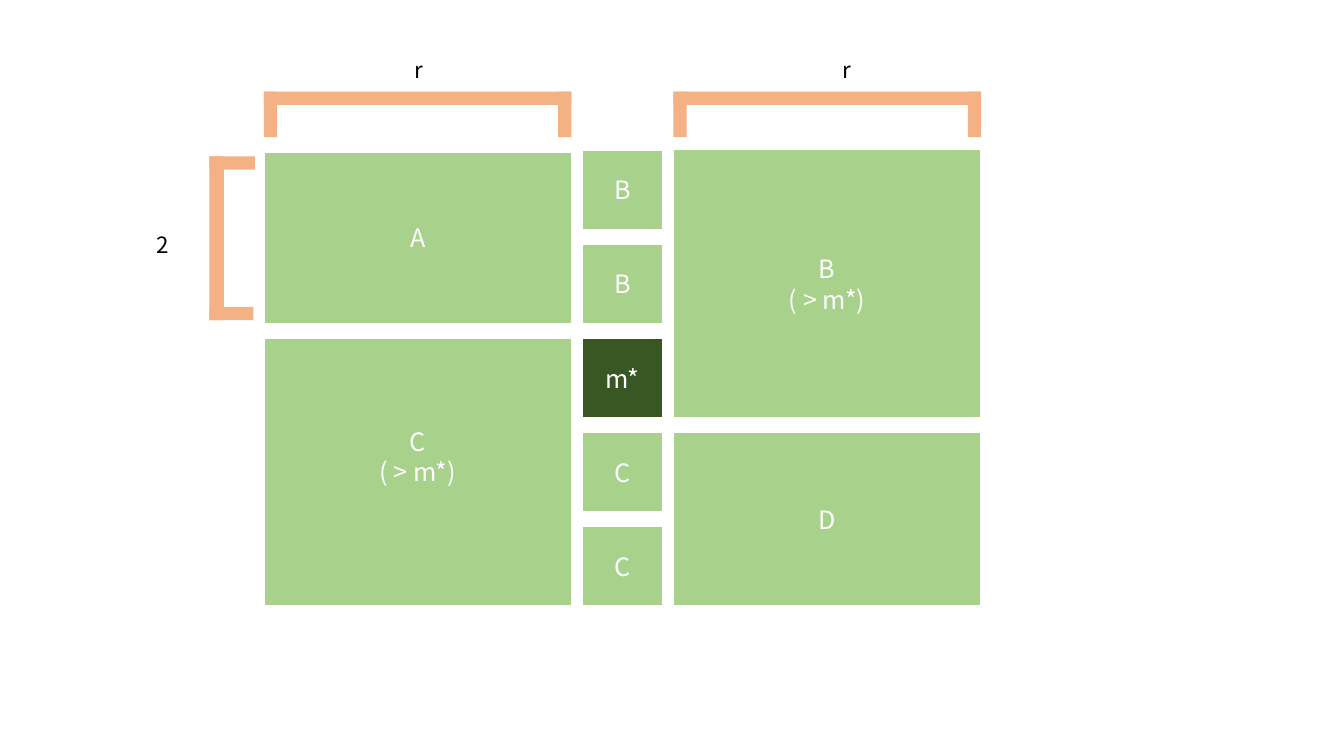
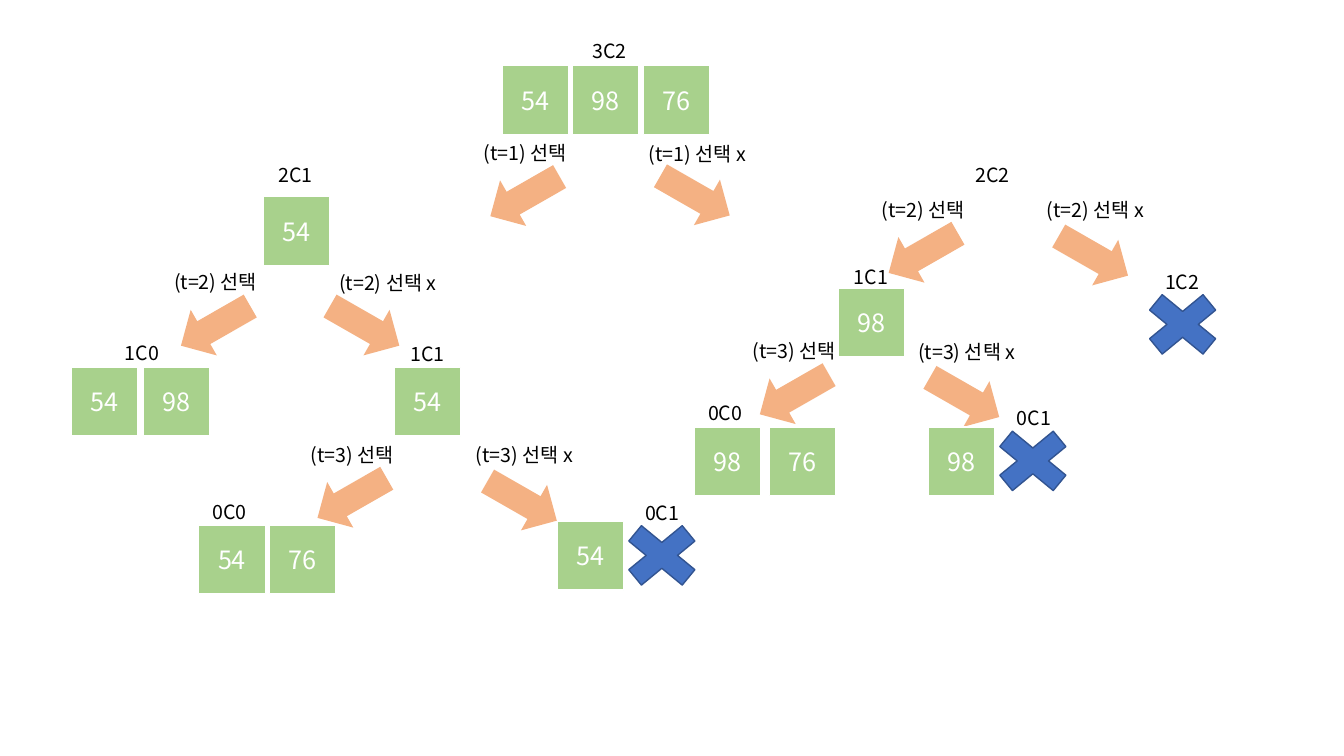
from lxml.etree import SubElement
from pptx import Presentation
from pptx.dml.color import RGBColor
from pptx.enum.shapes import MSO_SHAPE as Preset
from pptx.enum.text import MSO_ANCHOR as Anchor, PP_ALIGN as Align
from pptx.oxml.ns import qn
from pptx.util import Pt

COLORS = {
    "cell": "A8D18C",
    "median": "385723",
    "accent": "F4B183",
    "cross": "4472C4",
    "cross_edge": "325491",
    "white": "FFFFFF",
    "black": "000000",
}


class Diagram:
    """Holds the style and the slide or group being drawn on."""

    font = "Noto Sans CJK KR"
    cell_size = (47.5, 49)
    arrow_size = (57, 37.5)
    cross_size = (73.5, 60.5)
    bar = 9.5

    def __init__(self):
        self.deck = Presentation()
        self.deck.slide_width, self.deck.slide_height = Pt(960), Pt(540)

    def new_slide(self):
        self.slide = self.deck.slides.add_slide(self.deck.slide_layouts[6])
        self.shapes = self.slide.shapes

    def new_group(self):
        """Send the following elements to a fresh group."""
        self.shapes = self.slide.shapes.add_group_shape().shapes

    def color(self, name):
        return RGBColor.from_string(COLORS[name])

    def set_text(self, frame, text, size, color):
        frame.text = text
        frame.word_wrap = True
        for paragraph in frame.paragraphs:
            paragraph.alignment = Align.CENTER
            for run in paragraph.runs:
                run.font.name = self.font
                run.font.size = Pt(size)
                run.font.color.rgb = self.color(color)
                east_asian = SubElement(run.font._element, qn("a:ea"))
                east_asian.set("typeface", self.font)

    def figure(self, preset, left, top, size, fill, edge=None):
        width, height = size
        shape = self.shapes.add_shape(
            preset, Pt(left), Pt(top), Pt(width), Pt(height))
        shape.shadow.inherit = False
        shape.fill.solid()
        shape.fill.fore_color.rgb = self.color(fill)
        if edge:
            shape.line.color.rgb = self.color(edge)
            shape.line.width = Pt(1)
        else:
            shape.line.fill.background()
        return shape

    def cell(self, text, left, top, size=cell_size, fill="cell", raise_by=0):
        """Draw a box; its text sits raise_by / 2 above the middle."""
        frame = self.figure(
            Preset.RECTANGLE, left, top, size, fill, "white").text_frame
        frame.vertical_anchor = Anchor.MIDDLE
        frame.margin_bottom = Pt(3.6 + raise_by)
        self.set_text(frame, text, 18, "white")

    def label(self, text, center, top, size=14, width=120):
        box = self.shapes.add_textbox(
            Pt(center - width / 2), Pt(top), Pt(width), Pt(size * 1.7))
        self.set_text(box.text_frame, text, size, "black")

    def bars(self, *boxes):
        for left, top, width, height in boxes:
            self.figure(Preset.RECTANGLE, left, top, (width, height), "accent")

    def top_bracket(self, left, top, width, depth):
        self.bars((left, top, width, self.bar),
                  (left, top, self.bar, depth),
                  (left + width - self.bar, top, self.bar, depth))

    def side_bracket(self, left, top, height, depth):
        self.bars((left, top, self.bar + 1, height),
                  (left, top, depth, self.bar),
                  (left, top + height - self.bar, depth - 1, self.bar))

    def arrow(self, center, top, angle):
        left = center - self.arrow_size[0] / 2
        self.figure(Preset.RIGHT_ARROW, left, top, self.arrow_size,
                    "accent").rotation = angle

    def split(self, step, center, top, skip_x=121.5, skip_y=26.5):
        """Draw the take and skip branches below a node."""
        self.label(f"(t={step}) 선택", center, top)
        self.label(f"(t={step}) 선택 x", center + 123, top + 0.5)
        self.arrow(center, top + 24.5, 150.2)
        self.arrow(center + skip_x, top + skip_y, 29.8)

    def node(self, name, center, label_top, picked=(), left=0, top=0,
             pitch=50.5):
        self.label(name, center, label_top)
        for index, value in enumerate(picked):
            self.cell(value, left + index * pitch, top)

    def cross(self, left, top):
        self.figure(Preset.MATH_MULTIPLY, left, top, self.cross_size,
                    "cross", "cross_edge")

    def dead_end(self, center, label_top, value, left, top):
        """Draw a 0C1 node whose cell is followed by a cross."""
        self.node("0C1", center, label_top, [value], left, top)
        self.cross(left + 38, top - 6)


def draw_median_blocks(diagram):
    diagram.new_slide()
    first_row, pitch, side = 107, 67.25, 57
    left_half, middle, right_half, half_width = 188.5, 416.25, 481, 219.75

    for row, text in enumerate(["B", "B", "m*", "C", "C"]):
        fill = "median" if text == "m*" else "cell"
        diagram.cell(text, middle, first_row + row * pitch, (side, side), fill)

    for text, left, row, rows, trim, raise_by in [
        ("A", left_half, 0, 2, 1.5, 0),
        ("D", right_half, 3, 2, 0, 0),
        ("C\n( > m*)", left_half, 2, 3, 0, 22),
        ("B\n( > m*)", right_half, 0, 3, 0, 0),
    ]:
        height = (rows - 1) * pitch + side - trim
        diagram.cell(text, left, first_row + row * pitch + trim,
                     (half_width, height), raise_by=raise_by)

    for left, center in [(left_half, 299), (right_half, 605)]:
        diagram.top_bracket(left, 65.5, half_width, 32.5)
        diagram.label("r", center, 36.5, 16)
    diagram.side_bracket(149.5, 111.75, 117, 32.5)
    diagram.label("2", 116, 161.5, 16, 46)


def draw_combination_tree(diagram):
    diagram.new_slide()

    diagram.new_group()
    diagram.node("2C2", 709, 113)
    diagram.split(2, 659.5, 137.5)
    diagram.node("1C1", 622, 186, ["98"], 598.5, 206)
    diagram.node("1C2", 844.5, 189.5)
    diagram.cross(808, 201.5)
    diagram.split(3, 567.5, 238.5)
    diagram.node("0C0", 518, 283, ["98", "76"], 496, 305, 53.5)
    diagram.dead_end(738.5, 286.5, "98", 663, 305)

    diagram.new_group()
    diagram.node("2C1", 211, 113, ["54"], 188, 140.5)
    diagram.split(2, 154, 189.5, skip_x=106.5, skip_y=24.5)
    diagram.node("1C0", 101.5, 240, ["54", "98"], 51, 262.5, 51.5)
    diagram.node("1C1", 305.5, 241, ["54"], 281.5, 262.5)
    diagram.split(3, 251.5, 312.5)
    diagram.node("0C0", 164, 353.5, ["54", "76"], 142, 375)
    diagram.dead_end(473, 354, "54", 398, 372.5)

    diagram.new_group()
    diagram.node("3C2", 435.5, 24, ["54", "98", "76"], 358.5, 47)
    diagram.split(1, 375, 97, skip_y=24)


def main():
    diagram = Diagram()
    draw_median_blocks(diagram)
    draw_combination_tree(diagram)
    diagram.deck.save("out.pptx")


if __name__ == "__main__":
    main()
